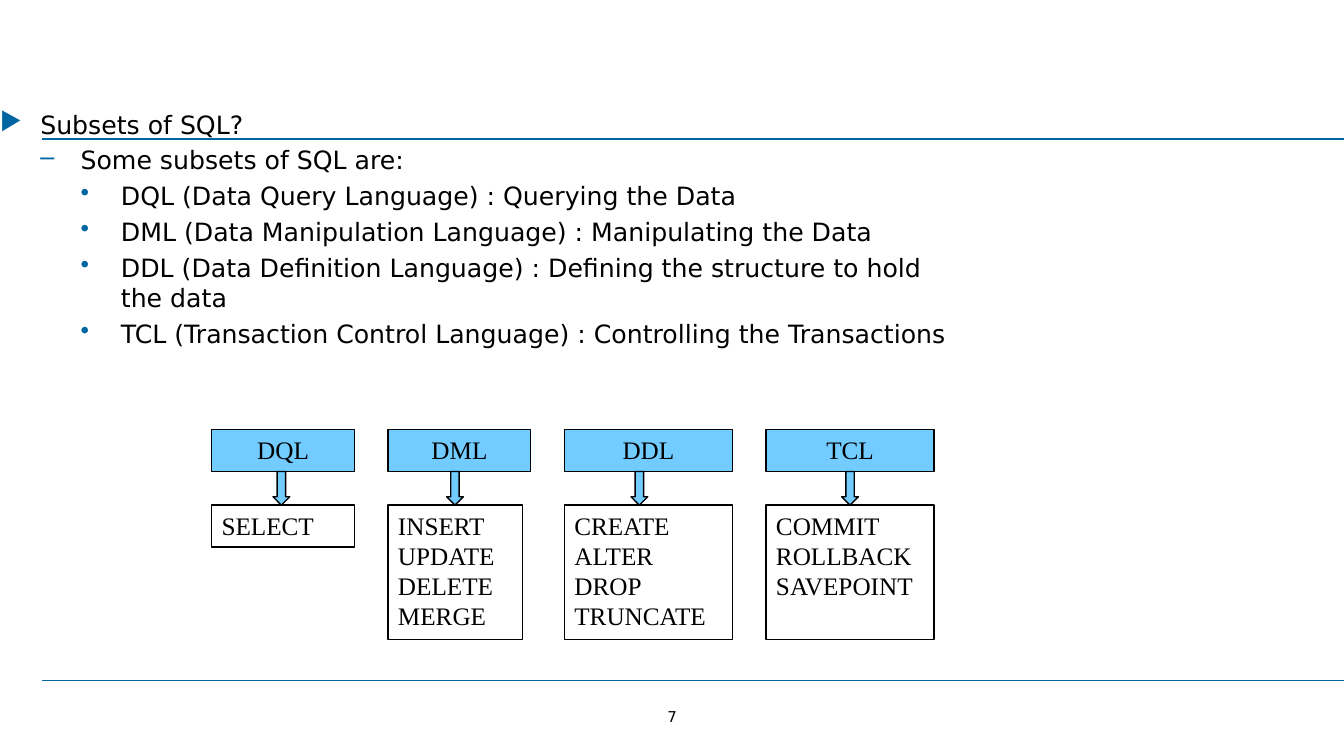
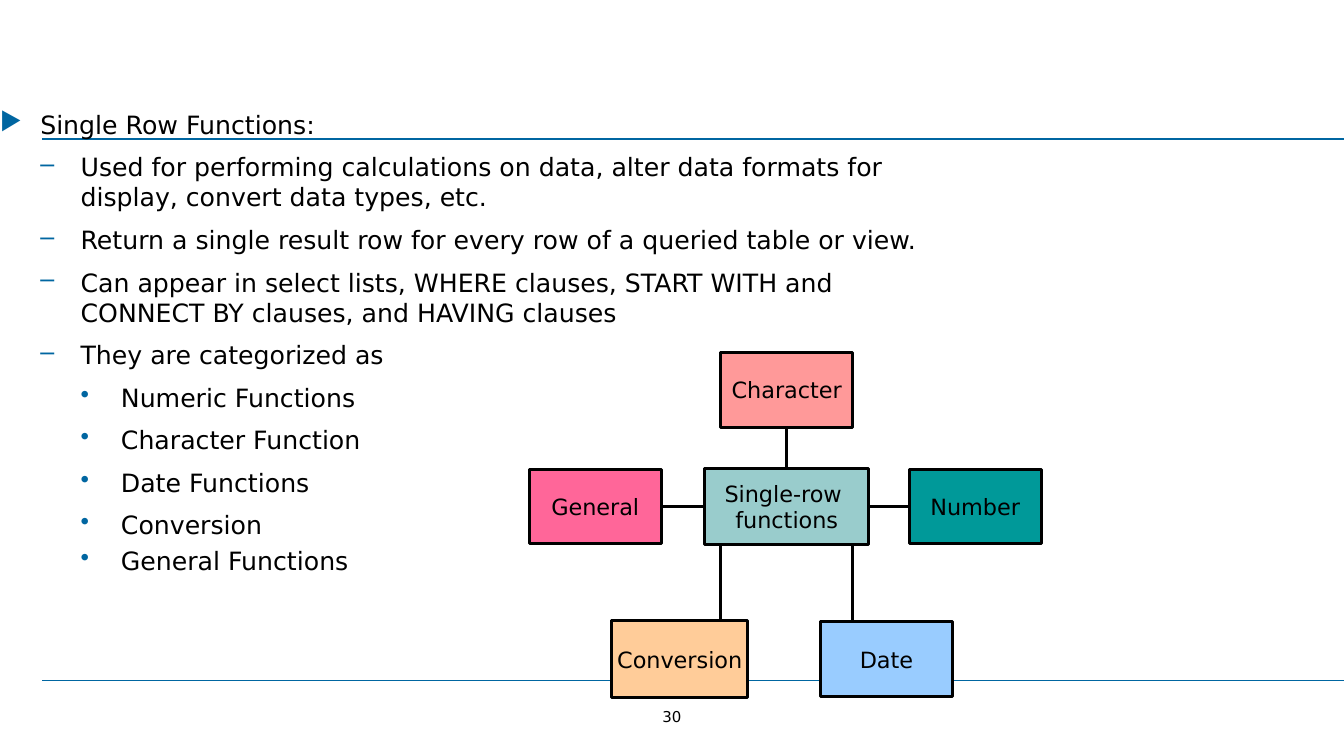
from dataclasses import dataclass

from lxml import etree
from pptx import Presentation
from pptx.dml.color import RGBColor
from pptx.enum import shapes, text
from pptx.oxml import ns
from pptx.util import Pt


@dataclass(frozen=True)
class Theme:
    ink: str = "000000"
    accent: str = "0066A1"
    sky: str = "73CCFF"
    sans: str = "DejaVu Sans"
    serif: str = "Times New Roman"
    body: float = 18
    node: float = 16
    page: float = 10.7
    rule: float = 1.25
    thin: float = 1
    thick: float = 2.25


theme = Theme()


def add_box(slide, preset, left, top, width, height, fill, weight,
            lines=(), font=theme.sans, size=theme.body, align=text.PP_ALIGN.CENTER,
            anchor=text.MSO_ANCHOR.TOP, wrap=True):
    box = slide.shapes.add_shape(preset, Pt(left), Pt(top), Pt(width), Pt(height))
    box.shadow.inherit = False
    if fill:
        box.fill.solid()
        box.fill.fore_color.rgb = RGBColor.from_string(fill)
    else:
        box.fill.background()
    box.line.color.rgb = RGBColor.from_string(theme.ink)
    box.line.width = Pt(weight)
    frame = box.text_frame
    frame.word_wrap = wrap
    frame.vertical_anchor = anchor
    for i, line in enumerate(lines):
        paragraph = frame.add_paragraph() if i else frame.paragraphs[0]
        paragraph.alignment = align
        run = paragraph.add_run()
        run.text = line
        run.font.name, run.font.size = font, Pt(size)
        run.font.color.rgb = RGBColor.from_string(theme.ink)
    return box


def add_line(slide, x1, y1, x2, y2, color, weight):
    line = slide.shapes.add_connector(
        shapes.MSO_CONNECTOR.STRAIGHT, Pt(x1), Pt(y1), Pt(x2), Pt(y2))
    line.line.color.rgb = RGBColor.from_string(color)
    line.line.width = Pt(weight)
    etree.SubElement(line._element.spPr, ns.qn("a:effectLst"))
    return line


deck = Presentation()
deck.slide_width, deck.slide_height = Pt(960), Pt(540)

# Page number, space before, and outline as (level, wording)
pages = [
    ("7", 0, [
        (0, "Subsets of SQL?"),
        (1, "Some subsets of SQL are:"),
        (2, "DQL (Data Query Language) : Querying the Data"),
        (2, "DML (Data Manipulation Language) : Manipulating the Data"),
        (2, "DDL (Data Definition Language) : Defining the structure to hold the data"),
        (2, "TCL (Transaction Control Language) : Controlling the Transactions"),
    ]),
    ("30", 4.8, [
        (0, "Single Row Functions:"),
        (1, "Used for performing calculations on data, alter data formats for "
            "display, convert data types, etc."),
        (1, "Return a single result row for every row of a queried table or view."),
        (1, "Can appear in select lists, WHERE clauses, START WITH and "
            "CONNECT BY clauses, and HAVING clauses"),
        (1, "They are categorized as"),
        (2, "Numeric Functions"),
        (2, "Character Function"),
        (2, "Date Functions"),
        (2, "Conversion"),
        (2, "General Functions"),
    ]),
]
bullets = "▶–•"
indent = 28.8

# Rules, page number and outline on every slide
for number, space_before, outline in pages:
    slide = deck.slides.add_slide(deck.slide_layouts[6])
    for y in (99.4, 486):
        add_line(slide, 30.2, y, 960, y, theme.accent, theme.rule)

    page_box = slide.shapes.add_textbox(Pt(470.6), Pt(505.4), Pt(18.8), Pt(13))
    body_box = slide.shapes.add_textbox(Pt(0), Pt(77.8), Pt(681.8), Pt(426.2))
    for frame in (page_box.text_frame, body_box.text_frame):
        frame.margin_left = frame.margin_right = Pt(0)
        frame.margin_top = frame.margin_bottom = Pt(0)

    page_box.text_frame.word_wrap = False
    page_box.text_frame.vertical_anchor = text.MSO_ANCHOR.MIDDLE
    page = page_box.text_frame.paragraphs[0]
    page.alignment = text.PP_ALIGN.CENTER
    run = page.add_run()
    run.text = number
    run.font.name, run.font.size = theme.sans, Pt(theme.page)
    run.font.color.rgb = RGBColor.from_string(theme.ink)

    body = body_box.text_frame
    body.word_wrap = True
    for i, (level, wording) in enumerate(outline):
        point = body.add_paragraph() if i else body.paragraphs[0]
        point.level = level
        # The last point sits close to the one above it
        point.space_before = Pt(0 if i == len(outline) - 1 else space_before)
        point.space_after = Pt(4)
        properties = point._p.get_or_add_pPr()
        properties.set("marL", str(Pt(indent * (level + 1))))
        properties.set("indent", str(-Pt(indent)))
        bullet_color = etree.SubElement(properties, ns.qn("a:buClr"))
        etree.SubElement(bullet_color, ns.qn("a:srgbClr"), val=theme.accent)
        etree.SubElement(properties, ns.qn("a:buChar"), char=bullets[level])
        run = point.add_run()
        run.text = wording
        run.font.name, run.font.size = theme.sans, Pt(theme.body)
        run.font.color.rgb = RGBColor.from_string(theme.ink)

subsets_slide, functions_slide = deck.slides
rectangle = shapes.MSO_SHAPE.RECTANGLE

# SQL subsets: name, left, name width, list width, list height, arrow centre, commands
subsets = [
    ("DQL", 151.2, 102, 102, 30, 201, ["SELECT"]),
    ("DML", 277.2, 102, 96, 96, 325, ["INSERT", "UPDATE", "DELETE", "MERGE"]),
    ("DDL", 403.2, 120, 120, 96, 456.7, ["CREATE", "ALTER", "DROP", "TRUNCATE"]),
    ("TCL", 547.2, 120, 120, 96, 607.2, ["COMMIT", "ROLLBACK", "SAVEPOINT"]),
]
name_top, name_height, arrow_width, arrow_height = 306.8, 30, 12, 24
arrow_top = name_top + name_height
for name, left, name_width, list_width, list_height, arrow_x, commands in subsets:
    add_box(subsets_slide, rectangle, left, name_top, name_width, name_height,
            theme.sky, theme.thin, [name], theme.serif)
    add_box(subsets_slide, rectangle, left, arrow_top + arrow_height, list_width,
            list_height, None, theme.thin, commands, theme.serif,
            align=text.PP_ALIGN.LEFT)
    add_box(subsets_slide, shapes.MSO_SHAPE.DOWN_ARROW, arrow_x - arrow_width / 2,
            arrow_top, arrow_width, arrow_height, theme.sky, theme.thin)

# Function families around their hub: lines, centre, size, fill
hub_x, hub_y, hub_height = 562, 361.8, 54.7
families = [
    (["Single-row ", "functions"], hub_x, hub_y, 117.4, hub_height, "99CCCC"),
    (["Conversion"], 485.6, 470.9, 97.2, 54.7, "FFCC99"),
    (["Character"], hub_x, 278.6, 94.3, 53.3, "FF9999"),
    (["Number"], 696.6, hub_y, 94.3, 53.3, "009999"),
    (["Date"], 633.2, 470.9, 94.3, 53.3, "99CCFF"),
    (["General"], 425.2, hub_y, 94.3, 53.3, "FF6699"),
]
hub, conversion, character, number_box, date, general = [
    add_box(functions_slide, rectangle, x - width / 2, y - height / 2, width, height,
            fill, theme.thick, lines, size=theme.node,
            anchor=text.MSO_ANCHOR.MIDDLE, wrap=False)
    for lines, x, y, width, height, fill in families]

# Links joined at the middle of a side
for family, hub_side, family_side in [
        (character, 0, 2), (general, 1, 3), (number_box, 3, 1)]:
    link = add_line(functions_slide, 0, 0, 0, 0, theme.ink, theme.thick)
    link.begin_connect(hub, hub_side)
    link.end_connect(family, family_side)

# Links from the hub's lower edge, at equal distances from its centre
for family, offset in [(conversion, -47.1), (date, 47.1)]:
    add_line(functions_slide, hub_x + offset, hub_y + hub_height / 2,
             hub_x + offset, family.top.pt, theme.ink, theme.thick)

deck.save("out.pptx")
